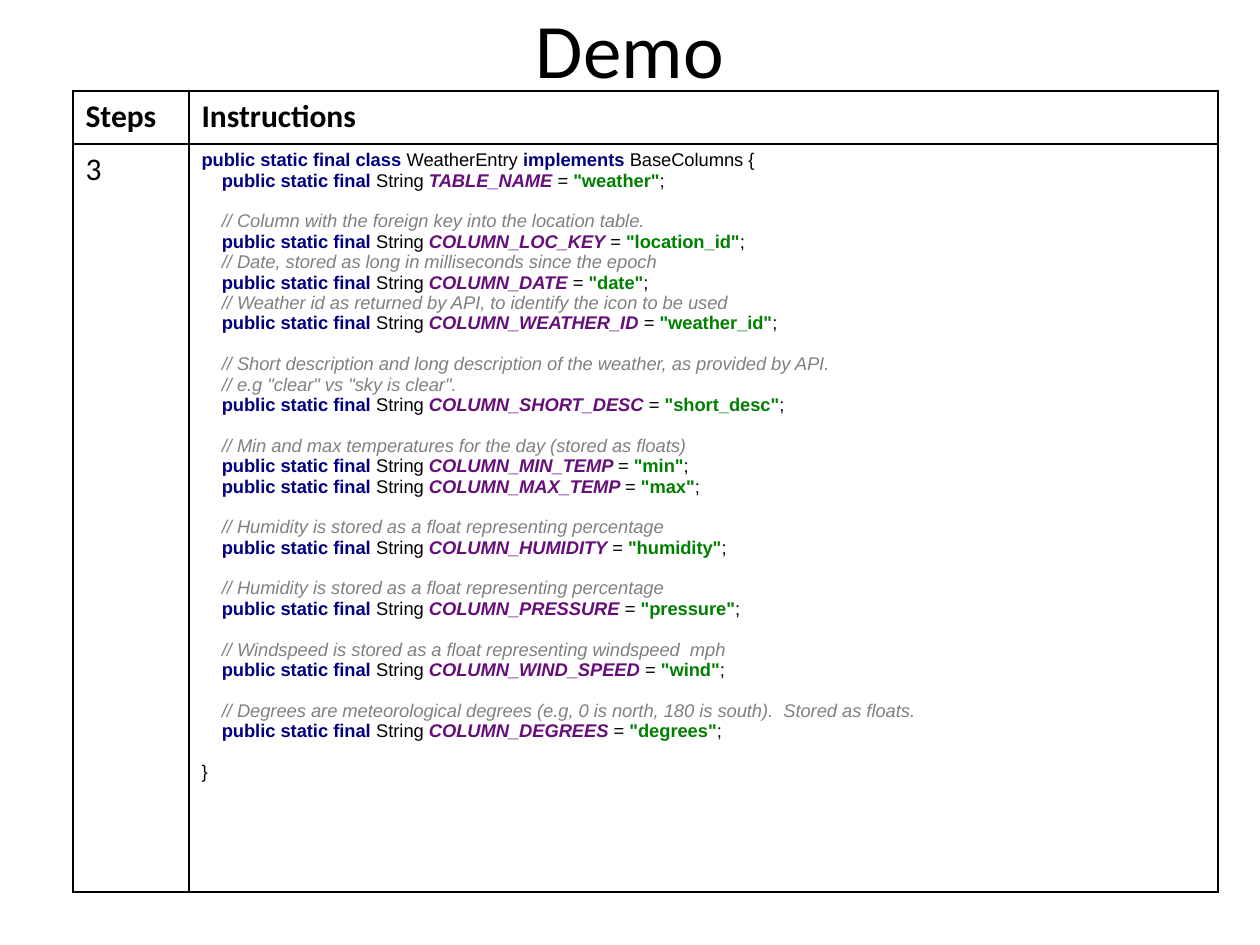
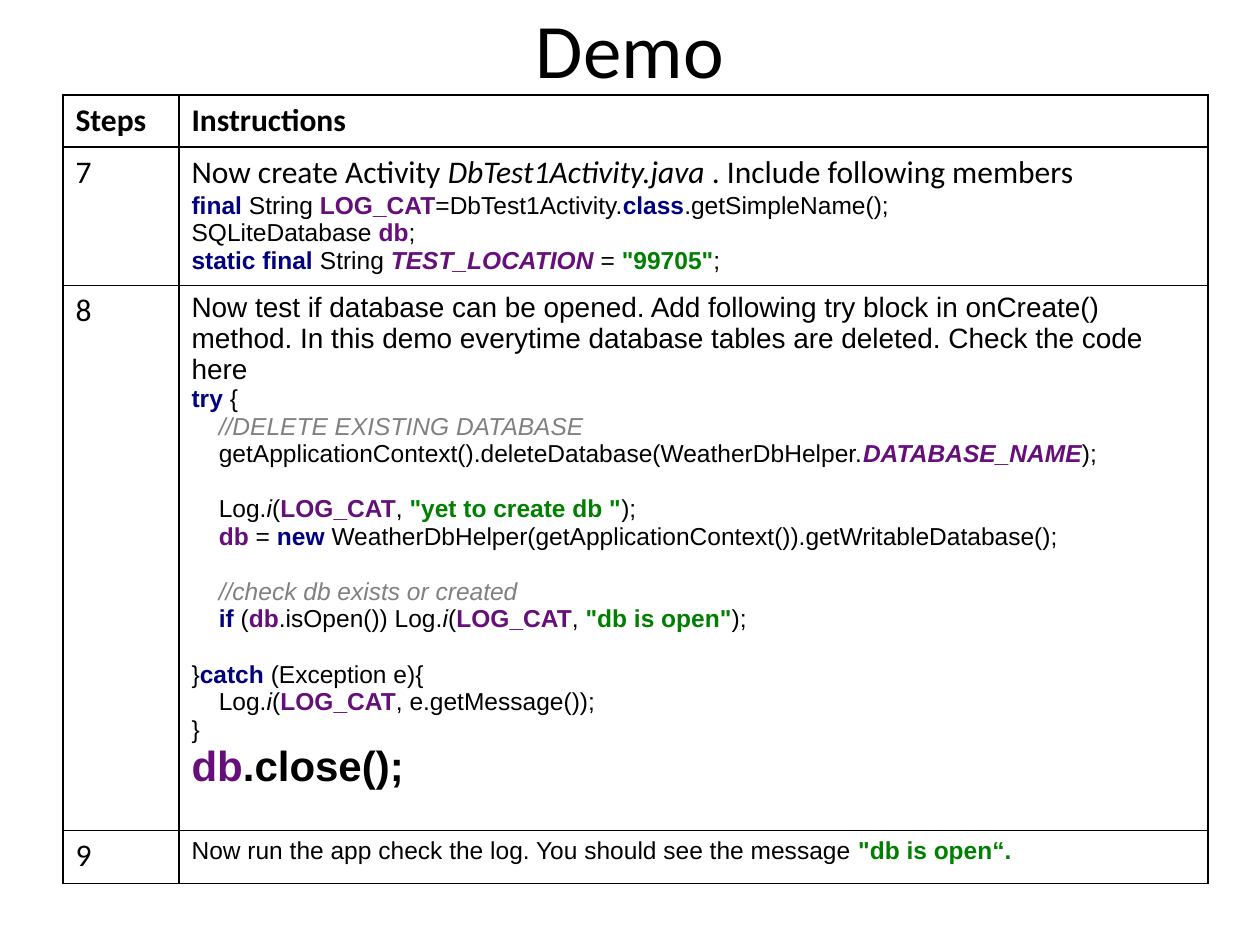
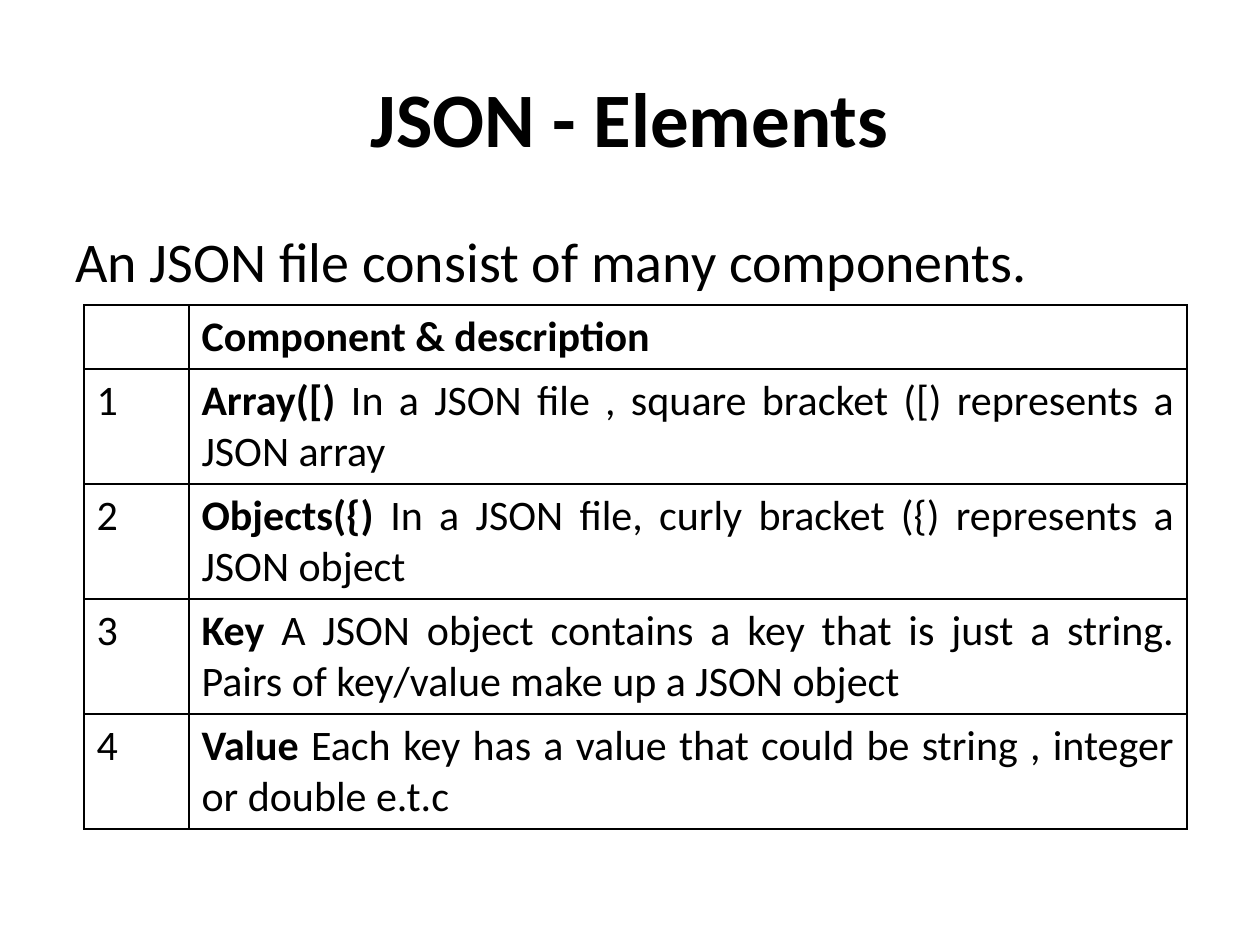
from collections import namedtuple

from lxml.etree import SubElement
from pptx import Presentation
from pptx.dml.color import RGBColor
from pptx.enum.text import MSO_ANCHOR, PP_ALIGN
from pptx.oxml.ns import qn
from pptx.util import Emu, Pt

PX = 914400 // 126
BODY_FONT, CODE_FONT = "Calibri", "Arial"

BLACK = RGBColor(0x00, 0x00, 0x00)
NAVY = RGBColor(0x00, 0x00, 0x80)
PURPLE = RGBColor(0x66, 0x0E, 0x7A)
GREEN = RGBColor(0x00, 0x80, 0x00)
GRAY = RGBColor(0x80, 0x80, 0x80)

Style = namedtuple("Style", "color bold italic")
PLAIN = Style(BLACK, False, False)
BOLD = Style(BLACK, True, False)
ITALIC = Style(BLACK, False, True)
KEYWORD = Style(NAVY, True, False)
MEMBER = Style(PURPLE, True, False)
CONSTANT = Style(PURPLE, True, True)
STRING = Style(GREEN, True, False)
COMMENT = Style(GRAY, False, True)

# runs is a list of (style, text); a newline in the text is a line break
Para = namedtuple("Para", "runs size font align before",
                  defaults=(18, BODY_FONT, PP_ALIGN.LEFT, 0))

INDENT = "    "
HEADER = [[Para([(BOLD, "Steps")])], [Para([(BOLD, "Instructions")])]]

# Each group is set off by a blank line; an entry is a comment or (name, value).
WEATHER_COLUMNS = [
    [("TABLE_NAME", "weather")],
    ["Column with the foreign key into the location table.",
     ("COLUMN_LOC_KEY", "location_id"),
     "Date, stored as long in milliseconds since the epoch",
     ("COLUMN_DATE", "date"),
     "Weather id as returned by API, to identify the icon to be used",
     ("COLUMN_WEATHER_ID", "weather_id")],
    ["Short description and long description of the weather, as provided by API.",
     'e.g "clear" vs "sky is clear".',
     ("COLUMN_SHORT_DESC", "short_desc")],
    ["Min and max temperatures for the day (stored as floats)",
     ("COLUMN_MIN_TEMP", "min"),
     ("COLUMN_MAX_TEMP", "max")],
    ["Humidity is stored as a float representing percentage",
     ("COLUMN_HUMIDITY", "humidity")],
    ["Humidity is stored as a float representing percentage",
     ("COLUMN_PRESSURE", "pressure")],
    ["Windspeed is stored as a float representing windspeed  mph",
     ("COLUMN_WIND_SPEED", "wind")],
    ["Degrees are meteorological degrees (e.g, 0 is north, 180 is south).  Stored as floats.",
     ("COLUMN_DEGREES", "degrees")],
]

MEMBERS = [
    (KEYWORD, "final "), (PLAIN, "String "), (MEMBER, "LOG_CAT"),
    (PLAIN, "=DbTest1Activity."), (KEYWORD, "class"),
    (PLAIN, ".getSimpleName();\nSQLiteDatabase "), (MEMBER, "db"), (PLAIN, ";\n"),
    (KEYWORD, "static final "), (PLAIN, "String "), (CONSTANT, "TEST_LOCATION "),
    (PLAIN, "= "), (STRING, '"99705"'), (PLAIN, ";"),
]

LOG_CALL = [(PLAIN, "Log."), (ITALIC, "i"), (PLAIN, "("), (MEMBER, "LOG_CAT"), (PLAIN, ", ")]

TRY_BLOCK = [
    (KEYWORD, "try "), (PLAIN, "{\n" + INDENT),
    (COMMENT, "//DELETE EXISTING DATABASE\n" + INDENT),
    (PLAIN, "getApplicationContext().deleteDatabase(WeatherDbHelper."),
    (CONSTANT, "DATABASE_NAME"), (PLAIN, ");\n\n" + INDENT),
    *LOG_CALL, (STRING, '"yet to create db "'), (PLAIN, ");\n" + INDENT),
    (MEMBER, "db "), (PLAIN, "= "), (KEYWORD, "new "),
    (PLAIN, "WeatherDbHelper(getApplicationContext()).getWritableDatabase();\n\n" + INDENT),
    (COMMENT, "//check db exists or created\n" + INDENT),
    (KEYWORD, "if "), (PLAIN, "("), (MEMBER, "db"), (PLAIN, ".isOpen()) "),
    *LOG_CALL, (STRING, '"db is open"'), (PLAIN, ");"),
]

CATCH_BLOCK = [
    (PLAIN, "}"), (KEYWORD, "catch "), (PLAIN, "(Exception e){\n" + INDENT),
    *LOG_CALL, (PLAIN, "e.getMessage());\n}"),
]

JSON_ELEMENTS = [
    ("Array([) ", "In a JSON file , square bracket ([) represents a JSON array"),
    ("Objects({) ", "In a JSON file, curly bracket ({) represents a JSON object"),
    ("Key ", "A JSON object contains a key that is just a string. "
             "Pairs of key/value make up a JSON object"),
    ("Value ", "Each key has a value that could be string , integer or double e.t.c"),
]


def px(n):
    return Emu(n * PX)


def code(runs, size=14, before=0):
    return Para(runs, size, CODE_FONT, before=before)


def weather_entry_runs():
    runs = [(KEYWORD, "public static final class "), (PLAIN, "WeatherEntry "),
            (KEYWORD, "implements "), (PLAIN, "BaseColumns {\n")]
    for group in WEATHER_COLUMNS:
        for entry in group:
            if isinstance(entry, str):
                runs.append((COMMENT, f"{INDENT}// {entry}\n"))
            else:
                name, value = entry
                runs += [(KEYWORD, INDENT + "public static final "), (PLAIN, "String "),
                         (CONSTANT, name + " "), (PLAIN, "= "),
                         (STRING, f'"{value}"'), (PLAIN, ";\n")]
        runs.append((PLAIN, "\n"))
    return runs + [(PLAIN, "}")]


def add_break(p, size):
    """Add a line break as tall as the text around it."""
    p.add_line_break()
    SubElement(p._p[-1], qn("a:rPr"), sz=str(int(size * 100)))


def write(tf, paras):
    for i, para in enumerate(paras):
        p = tf.paragraphs[0] if i == 0 else tf.add_paragraph()
        p.alignment = para.align
        if para.before:
            p.space_before = Pt(para.before)
        p.font.size, p.font.name = Pt(para.size), para.font
        for style, text in para.runs:
            for j, line in enumerate(text.split("\n")):
                if j:
                    add_break(p, para.size)
                if line:
                    r = p.add_run()
                    r.text = line
                    r.font.size, r.font.name = Pt(para.size), para.font
                    r.font.color.rgb = style.color
                    r.font.bold, r.font.italic = style.bold, style.italic


def add_text(s, left, top, width, height, para, anchor=MSO_ANCHOR.TOP):
    tf = s.shapes.add_textbox(px(left), px(top), px(width), px(height)).text_frame
    tf.word_wrap = True
    tf.vertical_anchor = anchor
    write(tf, [para])


def add_title(s, text, top, style=PLAIN):
    add_text(s, 63, top, 1134, 157, Para([(style, text)], 44, align=PP_ALIGN.CENTER),
             MSO_ANCHOR.MIDDLE)


def add_borders(cell):
    tcPr = cell._tc.get_or_add_tcPr()
    for side in ("lnL", "lnR", "lnT", "lnB"):
        ln = SubElement(tcPr, qn("a:" + side), w=str(Pt(1)))
        fill = SubElement(ln, qn("a:solidFill"))
        SubElement(fill, qn("a:srgbClr"), val=str(BLACK))


def add_grid(s, left, top, widths, heights, rows):
    """Add a ruled table; each cell of rows is a list of Para."""
    table = s.shapes.add_table(len(heights), len(widths), px(left), px(top),
                               px(sum(widths)), px(sum(heights))).table
    table.first_row = table.horz_banding = False
    for column, width in zip(table.columns, widths):
        column.width = px(width)
    for row, height, contents in zip(table.rows, heights, rows):
        row.height = px(height)
        for cell, paras in zip(row.cells, contents):
            add_borders(cell)
            cell.fill.background()
            write(cell.text_frame, paras)


def step(number, *paras):
    return [[Para([(PLAIN, str(number))])], list(paras)]


def add_demo(s, left, top, heights, steps):
    add_title(s, "Demo", -31)
    add_grid(s, left, top, (116, 1029), heights, [HEADER] + steps)


def add_json_elements(s):
    add_title(s, "JSON - Elements", 38, BOLD)
    add_text(s, 63, 220, 1134, 94,
             Para([(PLAIN, "An JSON file consist of many components.")], 32))
    rows = [[[], [Para([(BOLD, "Component & description")], 24, align=PP_ALIGN.JUSTIFY)]]]
    for number, (name, description) in enumerate(JSON_ELEMENTS, 1):
        rows.append([[Para([(PLAIN, str(number))], 24)],
                     [Para([(BOLD, name), (PLAIN, description)], 24,
                           align=PP_ALIGN.JUSTIFY)]])
    add_grid(s, 84, 305, (105, 998), [64] + [115] * len(JSON_ELEMENTS), rows)


def main():
    prs = Presentation()
    prs.slide_width, prs.slide_height = px(1260), px(945)
    weather, database, json = (prs.slides.add_slide(prs.slide_layouts[6]) for _ in range(3))

    add_demo(weather, 73, 91, (53, 748), [step(3, code(weather_entry_runs(), 10.5))])
    add_demo(database, 63, 95, (52, 133, 511, 53), [
        step(7,
             Para([(PLAIN, "Now create Activity "), (ITALIC, "DbTest1Activity.java"),
                   (PLAIN, " . Include following members")]),
             code(MEMBERS)),
        step(8,
             code([(PLAIN, "Now test if database can be opened. Add following try block in "
                           "onCreate() method. In this demo everytime database tables are "
                           "deleted. Check the code here")], 16),
             code(TRY_BLOCK),
             code(CATCH_BLOCK, before=16),
             code([(MEMBER, "db"), (BOLD, ".close();")], 24)),
        step(9,
             code([(PLAIN, "Now run the app check the log. You should see the message "),
                   (STRING, '"db is open“.')])),
    ])
    add_json_elements(json)
    prs.save("out.pptx")


if __name__ == "__main__":
    main()
